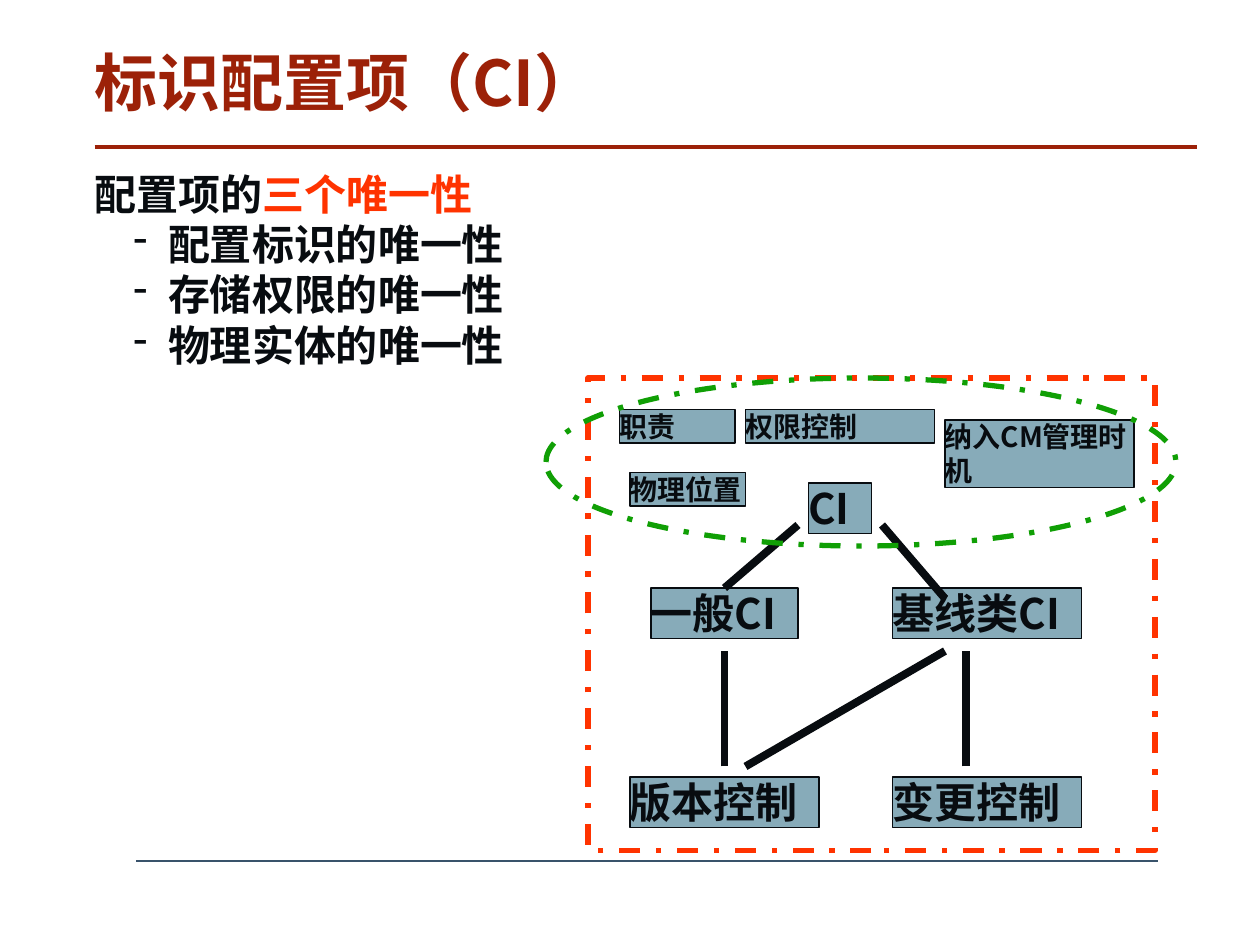
"""Build the slide on identifying configuration items."""
from lxml import etree
from pptx import Presentation
from pptx.dml.color import RGBColor
from pptx.enum.dml import MSO_LINE
from pptx.enum.shapes import MSO_CONNECTOR, MSO_SHAPE
from pptx.enum.text import MSO_ANCHOR, MSO_AUTO_SIZE, PP_ALIGN
from pptx.oxml.ns import qn
from pptx.util import Pt

RECT, OVAL = MSO_SHAPE.RECTANGLE, MSO_SHAPE.OVAL
STRAIGHT, DASH = MSO_CONNECTOR.STRAIGHT, MSO_LINE.DASH_DOT
TOP, LEFT = MSO_ANCHOR.TOP, PP_ALIGN.LEFT
NONE = MSO_AUTO_SIZE.NONE
PX = 7620


class Theme:
    """Hold the colours, font and type sizes."""
    ink = RGBColor.from_string("080C10")
    brand = RGBColor.from_string("9C2108")
    alert = RGBColor.from_string("FF3300")
    green = RGBColor.from_string("109F05")
    steel = RGBColor.from_string("87ABB9")
    foot = RGBColor.from_string("39536B")
    font = "Noto Sans CJK SC"
    title, body, small = Pt(36), Pt(24), Pt(16)


FRAME = dict(margin_left=0, margin_top=0, margin_right=0, margin_bottom=0,
             word_wrap=True, auto_size=NONE, vertical_anchor=TOP)


def write(shape, paras, size):
    frame = shape.text_frame
    for key, value in FRAME.items():
        setattr(frame, key, value)
    for i, runs in enumerate(paras):
        para = frame.add_paragraph() if i else frame.paragraphs[0]
        para.alignment = LEFT
        for text, color in runs:
            run = para.add_run()
            run.text = text
            run.font.color.rgb = color
            for key, value in dict(name=Theme.font, size=size, bold=True).items():
                setattr(run.font, key, value)
            east = etree.SubElement(run.font._element, qn("a:ea"))
            east.set("typeface", Theme.font)
    return frame


def rule(ends, color, width):
    line = slide.shapes.add_connector(STRAIGHT, *[n * PX for n in ends])
    line.line.color.rgb = color
    line.line.width = Pt(width)
    etree.SubElement(line._element.spPr, qn("a:effectLst"))


deck = Presentation()
deck.slide_width, deck.slide_height = 1200 * PX, 900 * PX
slide = deck.slides.add_slide(deck.slide_layouts[5])

rule((130, 820, 1103, 820), Theme.foot, 1)
rule((90, 140, 1140, 140), Theme.brand, 2.25)

title = slide.shapes.title
for key, value in dict(left=90, top=50, width=1050, height=73).items():
    setattr(title, key, value * PX)
head = write(title, [[("标识配置项（CI）", Theme.brand)]], Theme.title)
head.paragraphs[0].line_spacing = 0.89

points = ["配置标识的唯一性", "存储权限的唯一性", "物理实体的唯一性"]
paras = [[("配置项的", Theme.ink), ("三个唯一性", Theme.alert)]]
paras += [[(point, Theme.ink)] for point in points]
body = slide.shapes.add_textbox(90 * PX, 160 * PX, 450 * PX, 260 * PX)
for para in write(body, paras, Theme.body).paragraphs[1:]:
    props = para._p.get_or_add_pPr()
    props.set("marL", str(70 * PX))
    props.set("indent", str(-33 * PX))
    etree.SubElement(props, qn("a:buChar")).set("char", "-")

nodes = [
    ("CI", 770, 460, 60, 48, Theme.body),
    ("基线类CI", 850, 560, 180, 48, Theme.body),
    ("一般CI", 620, 560, 140, 48, Theme.body),
    ("版本控制", 600, 740, 180, 48, Theme.body),
    ("变更控制", 850, 740, 180, 48, Theme.body),
    ("权限控制", 710, 390, 180, 32, Theme.small),
    ("职责", 590, 390, 110, 32, Theme.small),
    ("纳入CM管理时机", 900, 400, 180, 64, Theme.small),
    ("物理位置", 600, 450, 110, 32, Theme.small),
]
for text, *place, size in nodes:
    box = slide.shapes.add_shape(RECT, *[n * PX for n in place])
    box.shadow.inherit = False
    box.fill.solid()
    box.fill.fore_color.rgb = Theme.steel
    box.line.color.rgb = Theme.ink
    box.line.width = Pt(0.75)
    write(box, [[(text, Theme.ink)]], size)

links = [(760, 500, 690, 560), (900, 570, 840, 500), (690, 730, 690, 620),
         (920, 730, 920, 620), (710, 730, 900, 620)]
for ends in links:
    rule(ends, Theme.ink, 4.5)

zones = [(RECT, 560, 360, 540, 450, Theme.alert),
         (OVAL, 520, 360, 600, 160, Theme.green)]
for kind, *place, color in zones:
    zone = slide.shapes.add_shape(kind, *[n * PX for n in place])
    zone.shadow.inherit = False
    zone.fill.background()
    zone.line.color.rgb = color
    zone.line.width = Pt(3)
    zone.line.dash_style = DASH

deck.save("out.pptx")
